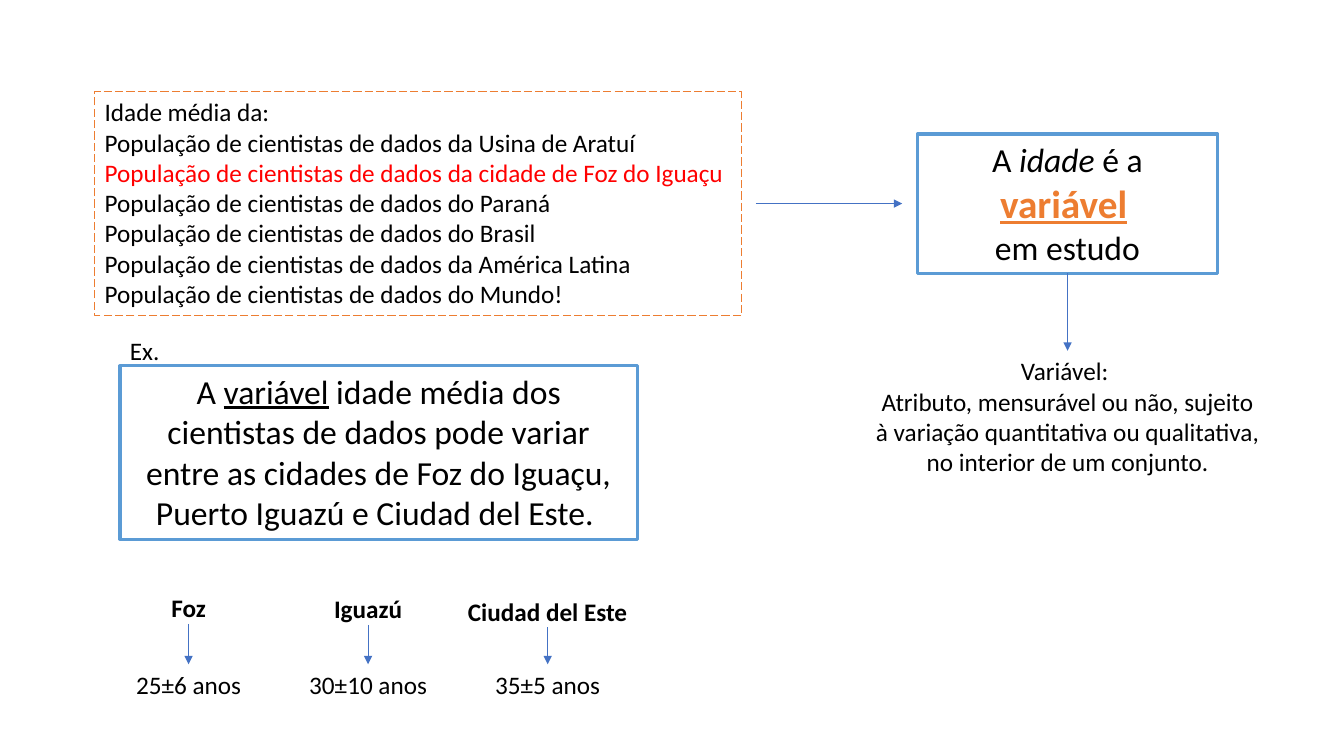
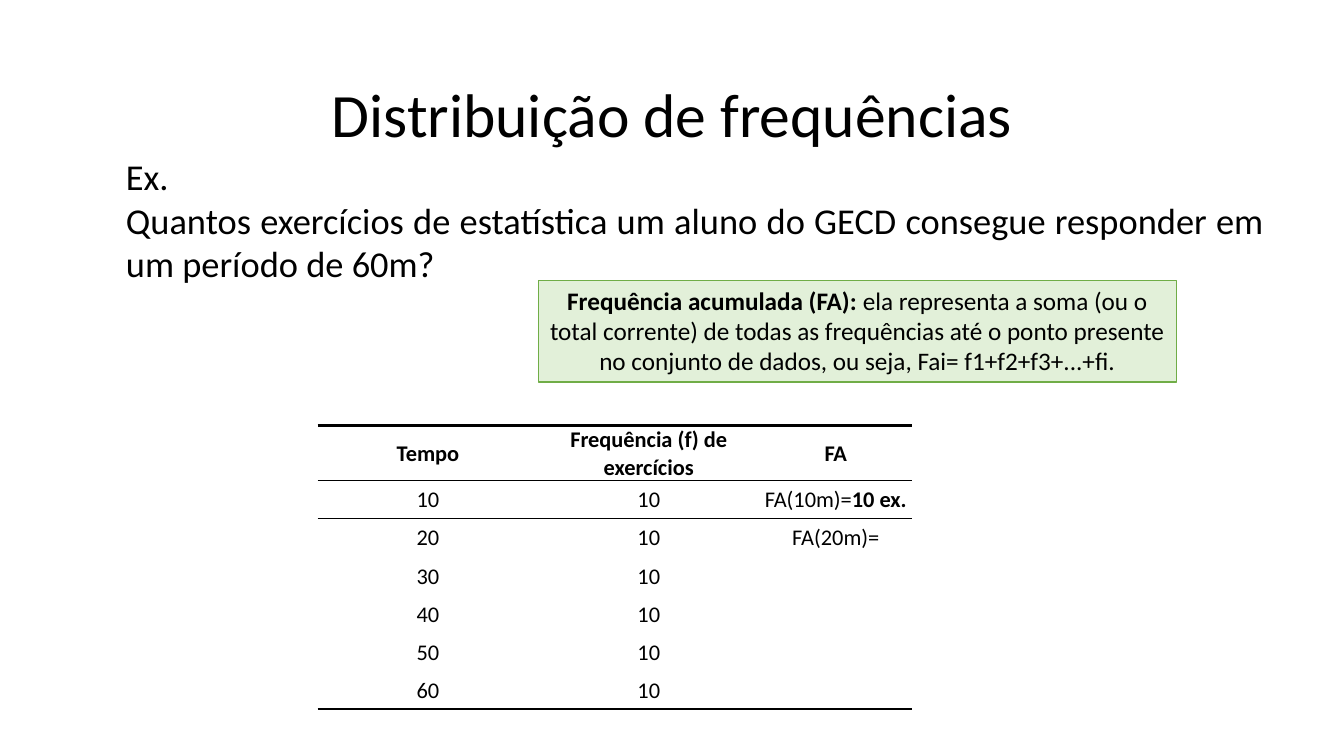
from dataclasses import dataclass

from lxml.etree import SubElement
from pptx import Presentation
from pptx.dml.color import RGBColor
from pptx.enum.dml import MSO_LINE
from pptx.enum.shapes import MSO_CONNECTOR, MSO_SHAPE
from pptx.enum.text import MSO_ANCHOR as Anchor, PP_ALIGN as Align
from pptx.oxml.ns import qn
from pptx.util import Inches, Pt

BOTTOM, TOP = 2, 0  # connection sites of a rectangle


@dataclass(frozen=True)
class Theme:
    font: str = "Calibri"
    ink: str = "000000"
    paper: str = "FFFFFF"
    alert: str = "FF0000"
    orange: str = "ED7D31"
    frame: str = "5B9BD5"
    arrow: str = "4472C4"
    green: str = "70AD47"
    pale_green: str = "E2F0D9"
    title: int = 44
    key: int = 28
    question: int = 26
    lead: int = 24
    body: int = 18
    cell: int = 16


THEME = Theme()


class Builder:
    """Holds the deck and current page; lengths are percent of the slide."""

    def __init__(self, theme):
        self.theme = theme
        self.deck = Presentation()
        self.deck.slide_width, self.deck.slide_height = Inches(13.33), Inches(7.5)
        self.page = None

    def new_page(self):
        self.page = self.deck.slides.add_slide(self.deck.slide_layouts[6])

    def x(self, share):
        return round(self.deck.slide_width * share / 100)

    def y(self, share):
        return round(self.deck.slide_height * share / 100)

    def area(self, left, top, width, height):
        return self.x(left), self.y(top), self.x(width), self.y(height)

    def fill_text(self, frame, paras, size, align):
        """Each paragraph is a string or a list of (text, style) spans."""
        for index, content in enumerate(paras):
            para = frame.add_paragraph() if index else frame.paragraphs[0]
            para.alignment = align
            spans = [(content, {})] if isinstance(content, str) else content
            para.text = spans[0][0]
            for text, _ in spans[1:]:
                para.add_run().text = text
            for run, (_, style) in zip(para.runs, spans):
                font = run.font
                font.name = self.theme.font
                font.size = Pt(style.get("size", size))
                font.color.rgb = RGBColor.from_string(style.get("color", self.theme.ink))
                font.bold = style.get("bold", False)
                font.italic = style.get("italic", False)
                font.underline = style.get("underline", False)

    def text(self, area, paras, size=THEME.body, align=Align.CENTER,
             anchor=Anchor.TOP, wrap=True):
        box = self.page.shapes.add_textbox(*self.area(*area))
        box.text_frame.word_wrap = wrap
        box.text_frame.vertical_anchor = anchor
        self.fill_text(box.text_frame, paras, size, align)
        return box

    def panel(self, area, paras, line, fill=None, size=THEME.body,
              align=Align.CENTER, weight=0.75, dash=None, wrap=True):
        box = self.page.shapes.add_shape(MSO_SHAPE.RECTANGLE, *self.area(*area))
        box.shadow.inherit = False
        if fill:
            box.fill.solid()
            box.fill.fore_color.rgb = RGBColor.from_string(fill)
        else:
            box.fill.background()
        box.line.color.rgb = RGBColor.from_string(line)
        box.line.width = Pt(weight)
        if dash:
            box.line.dash_style = dash
        box.text_frame.word_wrap = wrap
        box.text_frame.vertical_anchor = Anchor.TOP
        self.fill_text(box.text_frame, paras, size, align)
        return box

    def arrow(self, start=(0, 0), end=(0, 0), above=None, below=None):
        """Draw between two points, or from the box above to the one below."""
        link = self.page.shapes.add_connector(
            MSO_CONNECTOR.STRAIGHT, self.x(start[0]), self.y(start[1]),
            self.x(end[0]), self.y(end[1]))
        if above and below:
            link.begin_connect(above, BOTTOM)
            link.end_connect(below, TOP)
        link.line.color.rgb = RGBColor.from_string(self.theme.arrow)
        link.line.width = Pt(0.5)
        outline = link._element.spPr.find(qn("a:ln"))
        SubElement(outline, qn("a:tailEnd"), type="triangle")
        SubElement(link._element.spPr, qn("a:effectLst"))

    def rule(self, cell, side, weight):
        """Set one cell border; a weight of 0 hides it."""
        line = SubElement(cell._tc.get_or_add_tcPr(), qn(f"a:ln{side}"),
                          w=str(Pt(weight)))
        if weight:
            fill = SubElement(line, qn("a:solidFill"))
            SubElement(fill, qn("a:srgbClr"), val=self.theme.ink)
        else:
            SubElement(line, qn("a:noFill"))

    def table(self, left, top, widths, heights, rows, rules):
        """rules holds the weights of the horizontal lines, top to bottom."""
        area = self.area(left, top, sum(widths), sum(heights))
        grid = self.page.shapes.add_table(len(rows), len(widths), *area).table
        grid.first_row = grid.horz_banding = False
        for column, width in zip(grid.columns, widths):
            column.width = self.x(width)
        for r, (row, height) in enumerate(zip(rows, heights)):
            grid.rows[r].height = self.y(height)
            for c, content in enumerate(row):
                cell = grid.cell(r, c)
                cell.margin_left = cell.margin_right = cell.margin_top = Inches(0.01)
                cell.margin_bottom = 0
                cell.vertical_anchor = Anchor.MIDDLE
                for side, weight in zip("LRTB", (0, 0, rules[r], rules[r + 1])):
                    self.rule(cell, side, weight)
                cell.fill.solid()
                cell.fill.fore_color.rgb = RGBColor.from_string(self.theme.paper)
                self.fill_text(cell.text_frame, [content], self.theme.cell, Align.CENTER)


def variable_page(b):
    theme = b.theme
    b.new_page()

    # Populations and the variable under study
    people = "População de cientistas de dados "
    b.panel((7.05, 12.13, 48.15, 29.6), [
        "Idade média da:",
        people + "da Usina de Aratuí",
        [(people + "da cidade de Foz do Iguaçu", {"color": theme.alert})],
        *(people + place for place in
          ("do Paraná", "do Brasil", "da América Latina", "do Mundo!")),
    ], theme.orange, align=Align.LEFT, dash=MSO_LINE.LONG_DASH, wrap=False)
    b.arrow((56.25, 26.93), (67.13, 26.93))
    variable = b.panel((68.25, 17.73, 22.35, 18.4), [
        [("A ", {}), ("idade", {"italic": True}), (" é a ", {}),
         ("variável", {"size": theme.key, "color": theme.orange,
                       "bold": True, "underline": True}), (" ", {})],
        "em estudo",
    ], theme.frame, theme.paper, theme.lead, weight=2.25)
    definition = b.text((64.28, 46.4, 30.3, 17.47), [
        "Variável: ",
        "Atributo, mensurável ou não, sujeito à variação quantitativa ou "
        "qualitativa, no interior de um conjunto.",
    ])
    b.arrow(above=variable, below=definition)

    # Example statement
    b.panel((8.93, 48.4, 38.48, 22.93), [
        [("A ", {}), ("variável", {"underline": True}),
         (" idade média dos cientistas de dados pode variar entre as cidades "
          "de Foz do Iguaçu, Puerto Iguazú e Ciudad del Este. ", {})],
    ], theme.frame, theme.paper, theme.lead, weight=2.25)
    b.text((8.93, 43.73, 3.75, 5.33), ["Ex."], align=Align.LEFT, wrap=False)

    # Mean age per city, in equal columns
    step, first_left = 13.36, 7.35
    cities = (("Foz", "25±6 anos", 77.73), ("Iguazú", "30±10 anos", 77.87),
              ("Ciudad del Este", "35±5 anos", 78.2))
    for index, (city, age, top) in enumerate(cities):
        left = first_left + index * step
        name = b.text((left, top, step, 4.8), [[(city, {"bold": True})]], wrap=False)
        value = b.text((left, 87.87, step, 5.33), [age], wrap=False)
        b.arrow(above=name, below=value)


def frequency_page(b):
    theme = b.theme
    bold = {"bold": True}
    b.new_page()

    # Title and question
    b.text((6.9, 5.33, 86.26, 19.33), ["Distribuição de frequências"],
           theme.title, anchor=Anchor.MIDDLE)
    b.text((8.63, 19.73, 86.25, 18.8), [
        "Ex.",
        "Quantos exercícios de estatística um aluno do GECD consegue "
        "responder em um período de 60m?",
    ], theme.question, Align.JUSTIFY)

    # Definition
    b.panel((40.05, 37.07, 47.48, 13.47), [
        [("Frequência acumulada (FA): ", bold),
         ("ela representa a soma (ou o total corrente) de todas as frequências "
          "até o ponto presente no conjunto de dados, ou seja, "
          "Fai= f1+f2+f3+...+fi.", {})],
    ], theme.green, theme.pale_green)

    # Frequency table
    header = [[(name, bold)] for name in
              ("Tempo", "Frequência (f) de exercícios", "FA")]
    totals = {10: [("FA(10m)=", {}), ("10 ex.", bold)], 20: "FA(20m)="}
    rows = [header] + [[str(minutes), "10", totals.get(minutes, "")]
                       for minutes in range(10, 70, 10)]
    b.table(23.63, 56.27, [16.43, 16.43, 11.4], [7.33] + [5.03] * 6, rows,
            rules=[2, 1, 1, 0, 0, 0, 0, 2])


def main():
    builder = Builder(THEME)
    variable_page(builder)
    frequency_page(builder)
    builder.deck.save("out.pptx")


if __name__ == "__main__":
    main()
